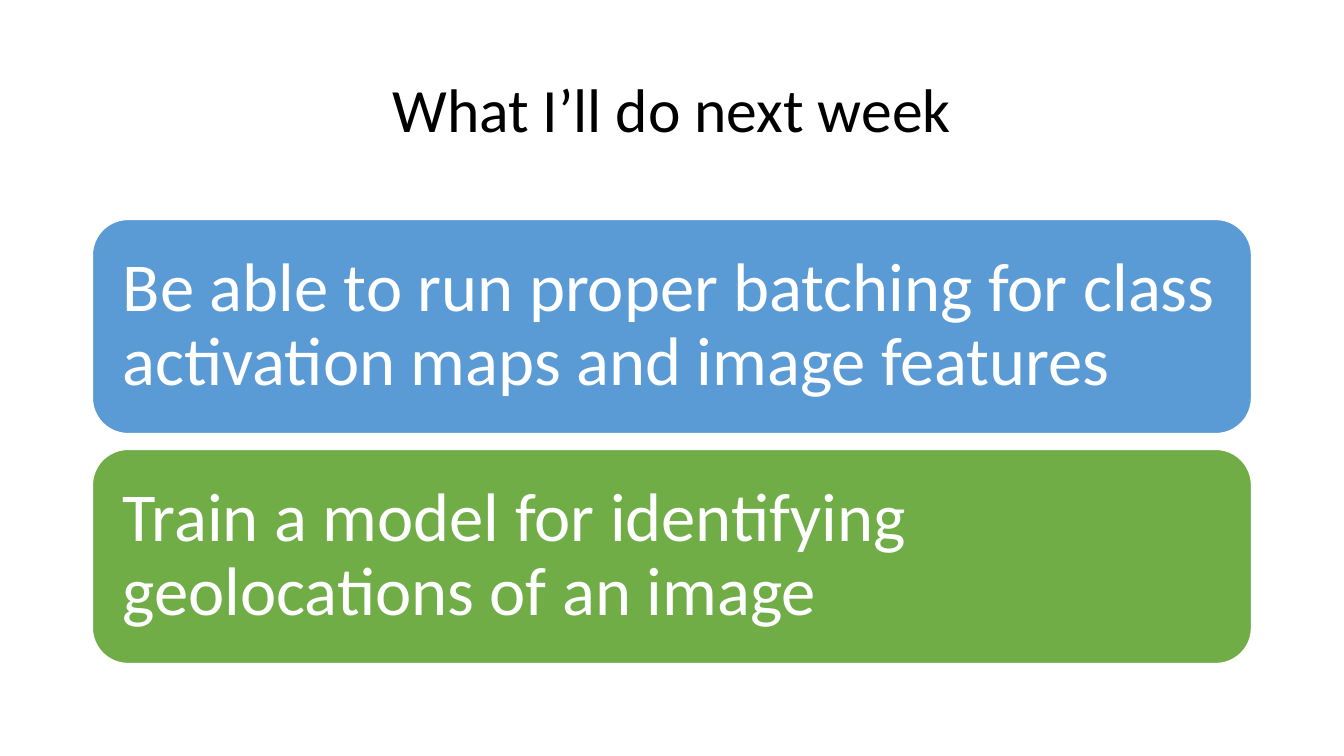
from pptx import Presentation, util as u
from pptx.dml.color import RGBColor
from pptx.enum import shapes, text

PX = 9525
FONT = "Calibri"
COLOURS = {"ink": "000000", "paper": "FFFFFF", "blue": "5B9BD5", "green": "70AD47"}
LEFT, WIDTH = 88, 1104
CARD_TOP, CARD_HEIGHT, CARD_PITCH, CARD_INSET = 209, 204, 219, 19
GOALS = [
    ("Be able to run proper batching for class activation maps and image features", "blue"),
    ("Train a model for identifying geolocations of an image", "green"),
]


def px(length):
    return u.Emu(length * PX)


def colour(name):
    return RGBColor.from_string(COLOURS[name])


def write(shape, words, *, size, ink, align, inset):
    frame = shape.text_frame
    frame.word_wrap = True
    frame.auto_size = text.MSO_AUTO_SIZE.NONE
    frame.vertical_anchor = text.MSO_ANCHOR.MIDDLE
    frame.margin_left = frame.margin_right = px(inset)
    frame.margin_top = frame.margin_bottom = px(inset)
    para = frame.paragraphs[0]
    para.alignment = align
    para.line_spacing = 0.9
    span = para.add_run()
    span.text = words
    span.font.name = FONT
    span.font.size = u.Pt(size)
    span.font.color.rgb = colour(ink)


def add_title(page, words):
    title = page.shapes.title
    title.left, title.top = px(LEFT), px(38)
    title.width, title.height = px(WIDTH), px(139)
    write(title, words, size=44, ink="ink", align=text.PP_ALIGN.CENTER, inset=8)


def add_card(page, top, words, fill):
    card = page.shapes.add_shape(
        shapes.MSO_SHAPE.ROUNDED_RECTANGLE, px(LEFT), px(top), px(WIDTH), px(CARD_HEIGHT)
    )
    card.shadow.inherit = False
    card.fill.solid()
    card.fill.fore_color.rgb = colour(fill)
    card.line.color.rgb = colour("paper")
    card.line.width = u.Pt(1)
    write(card, words, size=49, ink="paper", align=text.PP_ALIGN.LEFT, inset=CARD_INSET)


def main():
    deck = Presentation()
    deck.slide_width, deck.slide_height = px(1280), px(720)
    page = deck.slides.add_slide(deck.slide_layouts[5])
    add_title(page, "What I’ll do next week")
    for index, (words, fill) in enumerate(GOALS):
        add_card(page, CARD_TOP + index * CARD_PITCH, words, fill)
    deck.save("out.pptx")


if __name__ == "__main__":
    main()
